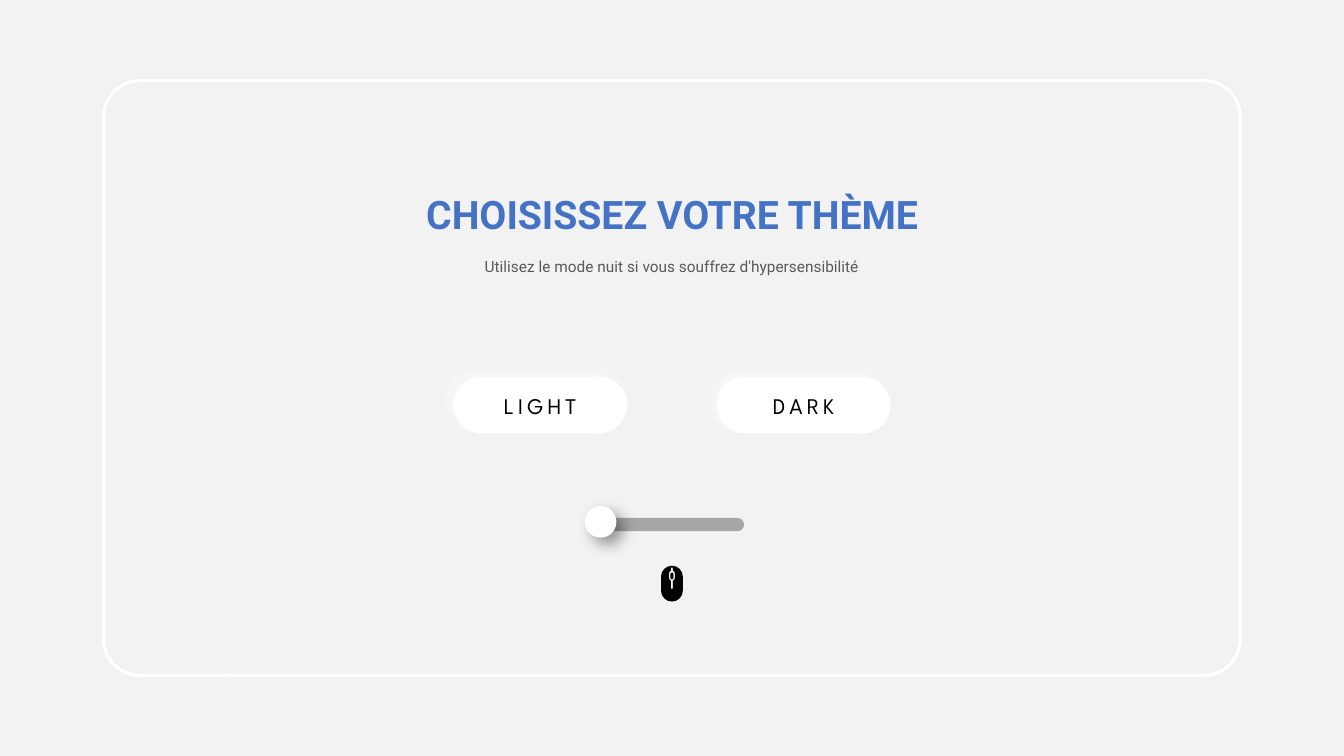
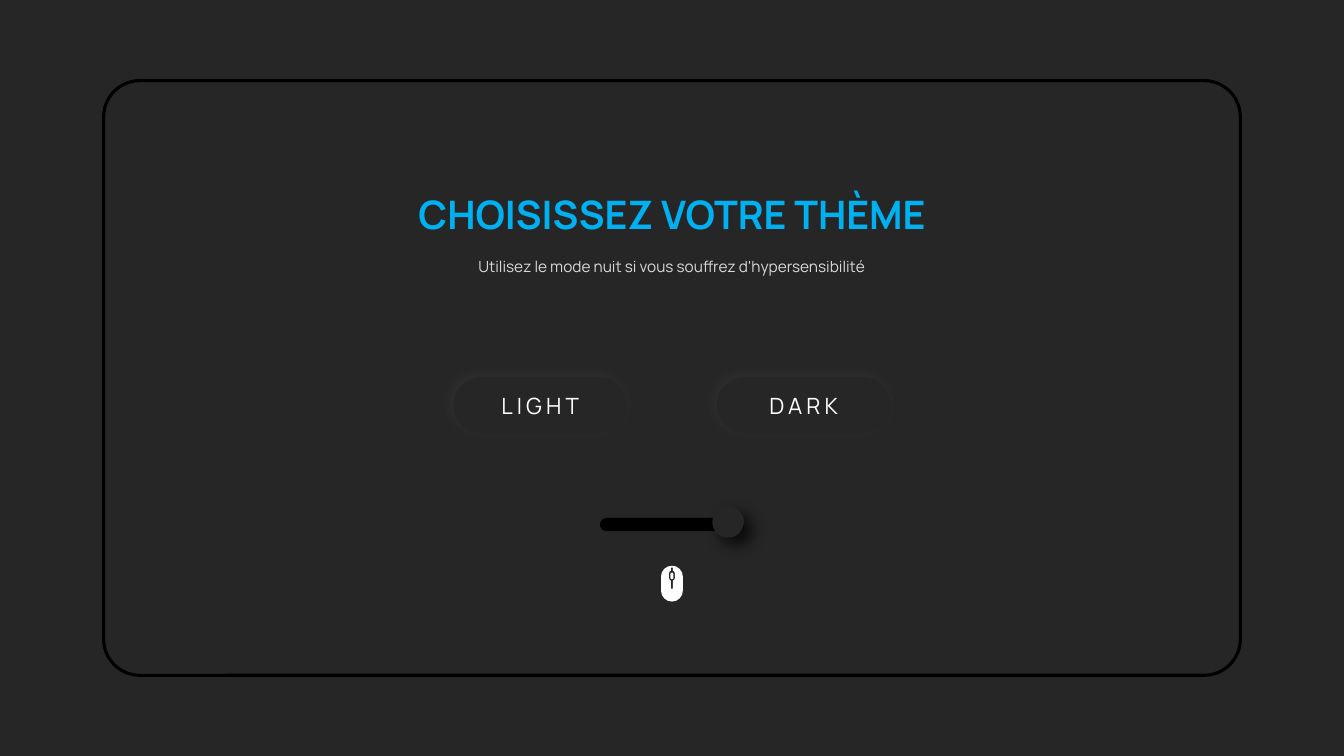
from dataclasses import dataclass
from math import cos, pi, sin
from typing import NamedTuple, Optional

from lxml.etree import SubElement
from pptx import Presentation
from pptx.dml.color import RGBColor
from pptx.enum.shapes import MSO_SHAPE
from pptx.enum.text import MSO_ANCHOR, MSO_AUTO_SIZE, PP_ALIGN
from pptx.oxml.ns import qn
from pptx.util import Pt

COLOURS = {
    "white": "FFFFFF", "black": "000000", "pale": "F2F2F2", "night": "262626",
    "blue": "4472C4", "sky": "00B0F0", "dark grey": "595959",
    "light grey": "D9D9D9", "mid grey": "808080", "track grey": "A6A6A6",
}
PAGE_WIDTH, PAGE_HEIGHT = 960, 540
MIDDLE = PAGE_WIDTH / 2
TITLE = "CHOISISSEZ VOTRE THÈME"
SUBTITLE = "Utilisez le mode nuit si vous souffrez d'hypersensibilité"
BUTTONS = ("LIGHT", "DARK")


class Box(NamedTuple):
    left: float
    top: float
    width: float
    height: float


class Shadow(NamedTuple):
    colour: str
    opacity: int
    blur: float
    distance: float
    angle: int


@dataclass
class Theme:
    background: str
    surface: str
    frame: str
    title: str
    subtitle: str
    ink: str
    track: str
    text_font: str
    button_font: str
    knob_left: float
    button_shadow: Shadow
    knob_shadow: Shadow


THEMES = (
    Theme("pale", "white", "white", "blue", "dark grey", "black", "track grey",
          "Roboto", "League Spartan", 417.7,
          Shadow("white", 62, 12, 6, 225), Shadow("black", 40, 11, 7, 45)),
    Theme("night", "night", "black", "sky", "light grey", "white", "black",
          "Manrope", "Manrope", 508.8,
          Shadow("mid grey", 11, 9, 3, 225), Shadow("black", 74, 11, 8, 45)),
)


def rgb(name: str) -> RGBColor:
    return RGBColor.from_string(COLOURS[name])


def paint(shape, fill: Optional[str], shadow: Optional[Shadow] = None) -> None:
    """Give a shape a plain fill, no line and an optional outer shadow."""
    shape.shadow.inherit = False
    shape.line.fill.background()
    if fill:
        shape.fill.solid()
        shape.fill.fore_color.rgb = rgb(fill)
    else:
        shape.fill.background()
    if shadow:
        effects = shape._element.spPr.find(qn("a:effectLst"))
        outer = SubElement(effects, qn("a:outerShdw"), {
            "blurRad": str(Pt(shadow.blur)), "dist": str(Pt(shadow.distance)),
            "dir": str(shadow.angle * 60000), "algn": "ctr", "rotWithShape": "0"})
        colour = SubElement(outer, qn("a:srgbClr"), val=COLOURS[shadow.colour])
        SubElement(colour, qn("a:alpha"), val=str(shadow.opacity * 1000))


def add_rounded(page, box: Box, fill: Optional[str], corner: float = 0.5,
                shadow: Optional[Shadow] = None):
    shape = page.shapes.add_shape(MSO_SHAPE.ROUNDED_RECTANGLE, *map(Pt, box))
    shape.adjustments[0] = corner
    paint(shape, fill, shadow)
    return shape


def write(frame, text: str, colour: str, spacing: int = 0, **font_format) -> None:
    """Write one centred line; spacing is in points between letters."""
    para = frame.paragraphs[0]
    para.alignment = PP_ALIGN.CENTER
    span = para.add_run()
    span.text = text
    for attribute, value in font_format.items():
        setattr(span.font, attribute, value)
    span.font.color.rgb = rgb(colour)
    if spacing:
        span._r.get_or_add_rPr().set("spc", str(spacing * 100))


def add_text(page, box: Box, text: str, colour: str, **font_format) -> None:
    frame = page.shapes.add_textbox(*map(Pt, box)).text_frame
    frame.word_wrap = True
    frame.auto_size = MSO_AUTO_SIZE.SHAPE_TO_FIT_TEXT
    write(frame, text, colour, **font_format)


def half_pill(top: float, bottom: float, radius: float, steps: int) -> list:
    """Right half of an upright pill, from top to bottom, around x = 0."""
    points = []
    for centre, start in ((top + radius, -pi / 2), (bottom - radius, 0)):
        for step in range(steps + 1):
            angle = start + step * pi / 2 / steps
            points.append((radius * cos(angle), centre + radius * sin(angle)))
    return points


def add_mouse(page, fill: str) -> None:
    """Draw a mouse with its wheel and stem cut out of the body."""
    stem = 0.7
    wheel = half_pill(407.5, 414.9, 2.2, 2)[1:-1]
    cutout = [(stem, 405.5), (stem, 407.6), *wheel, (stem, 414.8), (stem, 420.4)]
    halves = (half_pill(404.1, 429.7, 7.8, 4), cutout, half_pill(409, 413.8, 1.1, 2))
    builder = None
    for half in halves:
        outline = half + [(-x, y) for x, y in reversed(half)]
        points = [(round((MIDDLE + x) * 100), round(y * 100)) for x, y in outline]
        if builder is None:
            builder = page.shapes.build_freeform(*points[0], scale=Pt(1) / 100)
        else:
            builder.move_to(*points[0])
        builder.add_line_segments(points[1:], close=True)
    paint(builder.convert_to_shape(), fill)


def add_theme_page(deck, theme: Theme) -> None:
    page = deck.slides.add_slide(deck.slide_layouts[6])
    page.background.fill.solid()
    page.background.fill.fore_color.rgb = rgb(theme.background)

    # Frame and headings
    frame = add_rounded(page, Box(74, 57.6, 812, 424.8), None, 0.061)
    frame.line.color.rgb = rgb(theme.frame)
    frame.line.width = Pt(2.25)
    add_text(page, Box(268.5, 132.6, 423, 41), TITLE, theme.title,
             name=theme.text_font, size=Pt(28), bold=True)
    add_text(page, Box(268.5, 180, 423, 20.6), SUBTITLE, theme.subtitle,
             name=theme.text_font, size=Pt(11))

    # Buttons, evenly spaced about the middle
    width, gap = 124.2, 64
    first = MIDDLE - width - gap / 2
    for index, label in enumerate(BUTTONS):
        box = Box(first + index * (width + gap), 269.3, width, 40.3)
        button = add_rounded(page, box, theme.surface, shadow=theme.button_shadow)
        button.text_frame.vertical_anchor = MSO_ANCHOR.MIDDLE
        write(button.text_frame, label, theme.ink, spacing=3,
              name=theme.button_font, size=Pt(16))

    # Slider and mouse
    add_rounded(page, Box(428.5, 370, 103, 9.4), theme.track)
    knob_box = Box(theme.knob_left, 361.5, 22.6, 22.6)
    knob = page.shapes.add_shape(MSO_SHAPE.OVAL, *map(Pt, knob_box))
    paint(knob, theme.surface, theme.knob_shadow)
    add_mouse(page, theme.ink)


def main() -> None:
    deck = Presentation()
    deck.slide_width, deck.slide_height = Pt(PAGE_WIDTH), Pt(PAGE_HEIGHT)
    for theme in THEMES:
        add_theme_page(deck, theme)
    deck.save("out.pptx")


if __name__ == "__main__":
    main()
